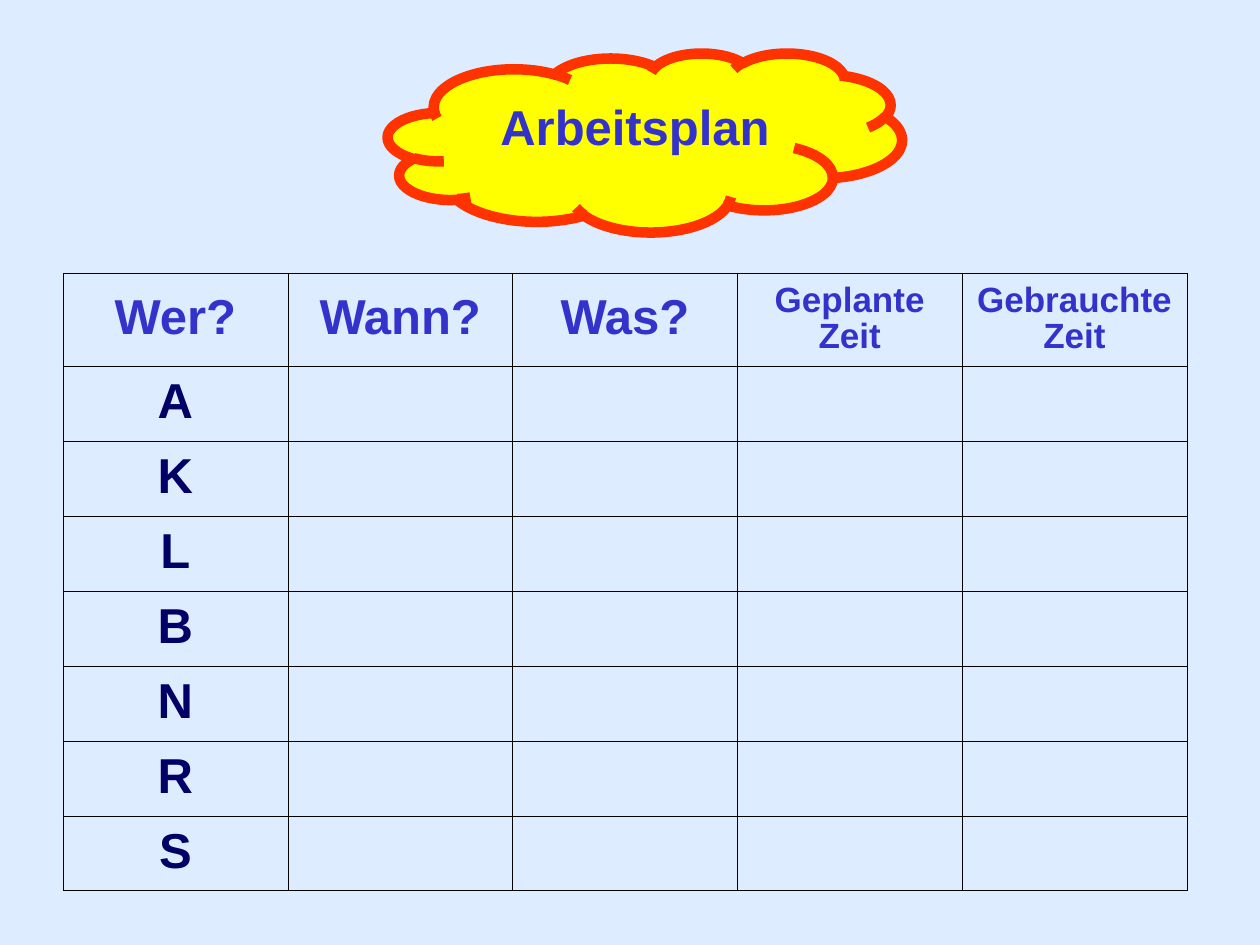
import lxml.etree
import pptx
import pptx.dml.color
import pptx.enum.shapes
import pptx.enum.text
import pptx.oxml.ns
import pptx.util

HUES = {
    "sky": "DDEDFF",
    "sun": "FFFF00",
    "red": "FF3300",
    "blue": "3333CC",
    "navy": "000066",
    "black": "000000",
}
HEADS = [("Wer?", 28), ("Wann?", 28), ("Was?", 28),
         ("Geplante Zeit", 20), ("Gebrauchte Zeit", 20)]
NAMES = "AKLBNRS"
THIN, EDGE = 0.11, 0.23


def px(size):
    return round(size * 914400 / 126)


def hue(name):
    return pptx.dml.color.RGBColor.from_string(HUES[name])


def write(frame, text, size, tint, lead, gap):
    para = frame.paragraphs[0]
    para.alignment = pptx.enum.text.PP_ALIGN.CENTER
    para.line_spacing = lead
    para.space_before = pptx.util.Pt(gap)
    run = para.add_run()
    run.text = text
    run.font.name = "Arial"
    run.font.size = pptx.util.Pt(size)
    run.font.bold = True
    run.font.color.rgb = hue(tint)


def rule(cell, side, width):
    name = pptx.oxml.ns.qn
    props = cell._tc.get_or_add_tcPr()
    line = lxml.etree.SubElement(props, name("a:ln" + side),
                                 w=str(pptx.util.Pt(width)))
    fill = lxml.etree.SubElement(line, name("a:solidFill"))
    lxml.etree.SubElement(fill, name("a:srgbClr"), val=HUES["black"])


def add_cloud(slide, left, top, width, height):
    cloud = slide.shapes.add_shape(
        pptx.enum.shapes.MSO_SHAPE.CLOUD,
        px(left), px(top), px(width), px(height))
    cloud.shadow.inherit = False
    cloud.fill.solid()
    cloud.fill.fore_color.rgb = hue("sun")
    cloud.line.color.rgb = hue("red")
    cloud.line.width = pptx.util.Pt(6)


def add_title(slide, left, top, width, height):
    title = slide.shapes.title
    title.left, title.top = px(left), px(top)
    title.width, title.height = px(width), px(height)
    slide.shapes._spTree.append(title._element)
    frame = title.text_frame
    frame.word_wrap = True
    frame.auto_size = pptx.enum.text.MSO_AUTO_SIZE.NONE
    frame.vertical_anchor = pptx.enum.text.MSO_ANCHOR.TOP
    write(frame, "Arbeitsplan", 28, "blue", 0.5, 17.5)


def add_plan(slide, left, top, width, head, step):
    rows, cols = len(NAMES) + 1, len(HEADS)
    table = slide.shapes.add_table(
        rows, cols, px(left), px(top), px(width),
        px(head + step * len(NAMES))).table
    table.horz_banding = False
    for col in table.columns:
        col.width = px(width / cols)
    for r, row in enumerate(table.rows):
        row.height = px(step if r else head)
        for c, cell in enumerate(row.cells):
            cell.vertical_anchor = pptx.enum.text.MSO_ANCHOR.MIDDLE
            ends = {"L": c == 0, "R": c == cols - 1,
                    "T": r == 0, "B": r == rows - 1}
            for side, outer in ends.items():
                rule(cell, side, EDGE if outer else THIN)
            cell.fill.background()
            if r == 0:
                text, size = HEADS[c]
                write(cell.text_frame, text, size, "blue", 0.93, size / 4)
            elif c == 0:
                write(cell.text_frame, NAMES[r - 1], 28, "navy", 0.93, 7)


def main():
    deck = pptx.Presentation()
    deck.slide_width, deck.slide_height = px(1260), px(945)
    slide = deck.slides.add_slide(deck.slide_layouts.get_by_name("Title Only"))
    slide.background.fill.solid()
    slide.background.fill.fore_color.rgb = hue("sky")
    add_cloud(slide, 388, 53, 514, 179)
    add_title(slide, 84, 116, 1102, 102)
    add_plan(slide, 63, 273, 1124, 93, 75)
    deck.save("out.pptx")


if __name__ == "__main__":
    main()
